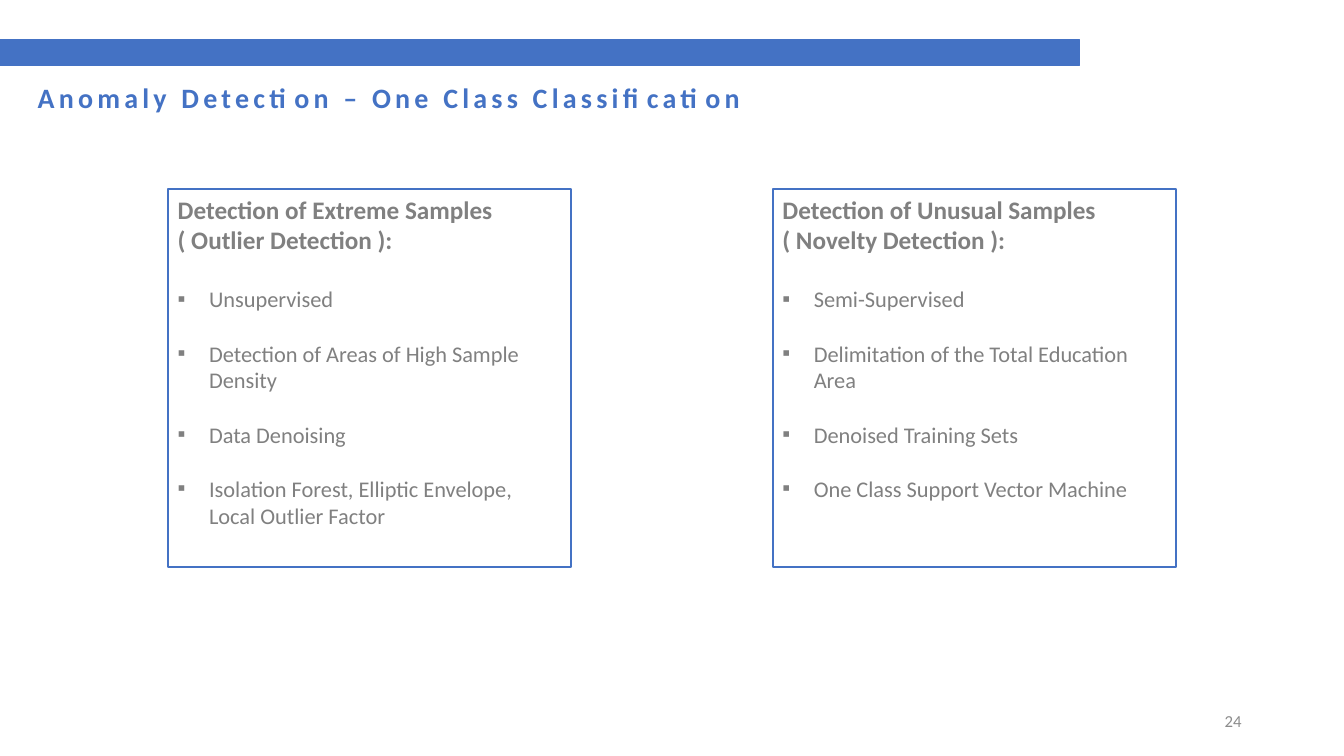
from lxml import etree
from pptx import Presentation
from pptx.dml.color import RGBColor
from pptx.enum.shapes import MSO_SHAPE
from pptx.enum.text import MSO_ANCHOR, PP_ALIGN
from pptx.oxml.ns import qn
from pptx.util import Cm, Pt

RECT = MSO_SHAPE.RECTANGLE
TOP, MIDDLE = MSO_ANCHOR.TOP, MSO_ANCHOR.MIDDLE
LEFT, RIGHT = PP_ALIGN.LEFT, PP_ALIGN.RIGHT
BLUE, GREY, PALE = "4472C4", "808080", "8C8C8C"

TITLE = {"size": Pt(20), "bold": True}
HEAD = {"size": Pt(18), "bold": True}
ITEM = {"size": Pt(16), "bold": False}
PAGE = {"size": Pt(12), "bold": False}

CARDS = [
    ("Detection of Extreme Samples \v( Outlier Detection ):",
     ["Unsupervised",
      "Detection of Areas of High Sample Density",
      "Data Denoising",
      "Isolation Forest, Elliptic Envelope, Local Outlier Factor"]),
    ("Detection of Unusual Samples \v( Novelty Detection ):",
     ["Semi-Supervised",
      "Delimitation of the Total Education Area",
      "Denoised Training Sets",
      "One Class Support Vector Machine"]),
]


def paint(target, color):
    """Set a font or line colour from a hex string."""
    target.color.rgb = RGBColor.from_string(color)


def write(para, text, form, color, align=LEFT, after=0):
    """Fill a paragraph with text in one format."""
    para.text = text
    para.alignment = align
    para.space_after = Pt(after)
    for run in para.runs:
        run.font.name = "Calibri"
        for key, value in form.items():
            setattr(run.font, key, value)
        paint(run.font, color)


def bullet(para):
    """Give a paragraph a square bullet and a hanging indent."""
    props = para._p.get_or_add_pPr()
    props.set("marL", str(Cm(0.79)))
    props.set("indent", str(-Cm(0.79)))
    etree.SubElement(props, qn("a:buFont")).set("typeface", "Arial")
    etree.SubElement(props, qn("a:buChar")).set("char", "▪")


def add_box(slide, left, top, width, height, weight):
    """Add a blue-edged rectangle without fill."""
    box = slide.shapes.add_shape(RECT, Cm(left), Cm(top), Cm(width), Cm(height))
    box.shadow.inherit = False
    box.fill.background()
    paint(box.line, BLUE)
    box.line.width = Pt(weight)
    return box


def add_bar(slide):
    """Add the solid bar above the title."""
    bar = add_box(slide, 0, 1, 27.2, 0.66, 1)
    bar.fill.solid()
    bar.fill.fore_color.rgb = RGBColor.from_string(BLUE)


def add_label(slide, left, top, width, height, anchor):
    """Add a text box and return its first paragraph."""
    box = slide.shapes.add_textbox(Cm(left), Cm(top), Cm(width), Cm(height))
    frame = box.text_frame
    frame.word_wrap = True
    frame.vertical_anchor = anchor
    return frame.paragraphs[0]


def add_card(slide, left, head, items):
    """Add a framed card with a heading and a bullet list."""
    frame = add_box(slide, left, 4.77, 10.16, 9.53, 1.5).text_frame
    frame.word_wrap = True
    frame.vertical_anchor = TOP
    write(frame.paragraphs[0], head, HEAD, GREY, after=22)
    for item in items:
        para = frame.add_paragraph()
        write(para, item, ITEM, GREY, after=19.5)
        bullet(para)


def main():
    """Build the slide and save it."""
    deck = Presentation()
    deck.slide_width, deck.slide_height = Cm(33.87), Cm(19.05)
    slide = deck.slides.add_slide(deck.slide_layouts[6])

    page = add_label(slide, 23.92, 17.66, 7.62, 1.01, MIDDLE)
    write(page, "24", PAGE, PALE, RIGHT)
    for index, (head, items) in enumerate(CARDS):
        add_card(slide, 4.23 + index * 15.24, head, items)
    title = add_label(slide, 0.7, 1.9, 19.35, 1.11, TOP)
    write(title, "Anomaly Detection – One Class Classification", TITLE, BLUE)
    title.runs[0].font._element.set("spc", "300")
    add_bar(slide)

    deck.save("out.pptx")


if __name__ == "__main__":
    main()
